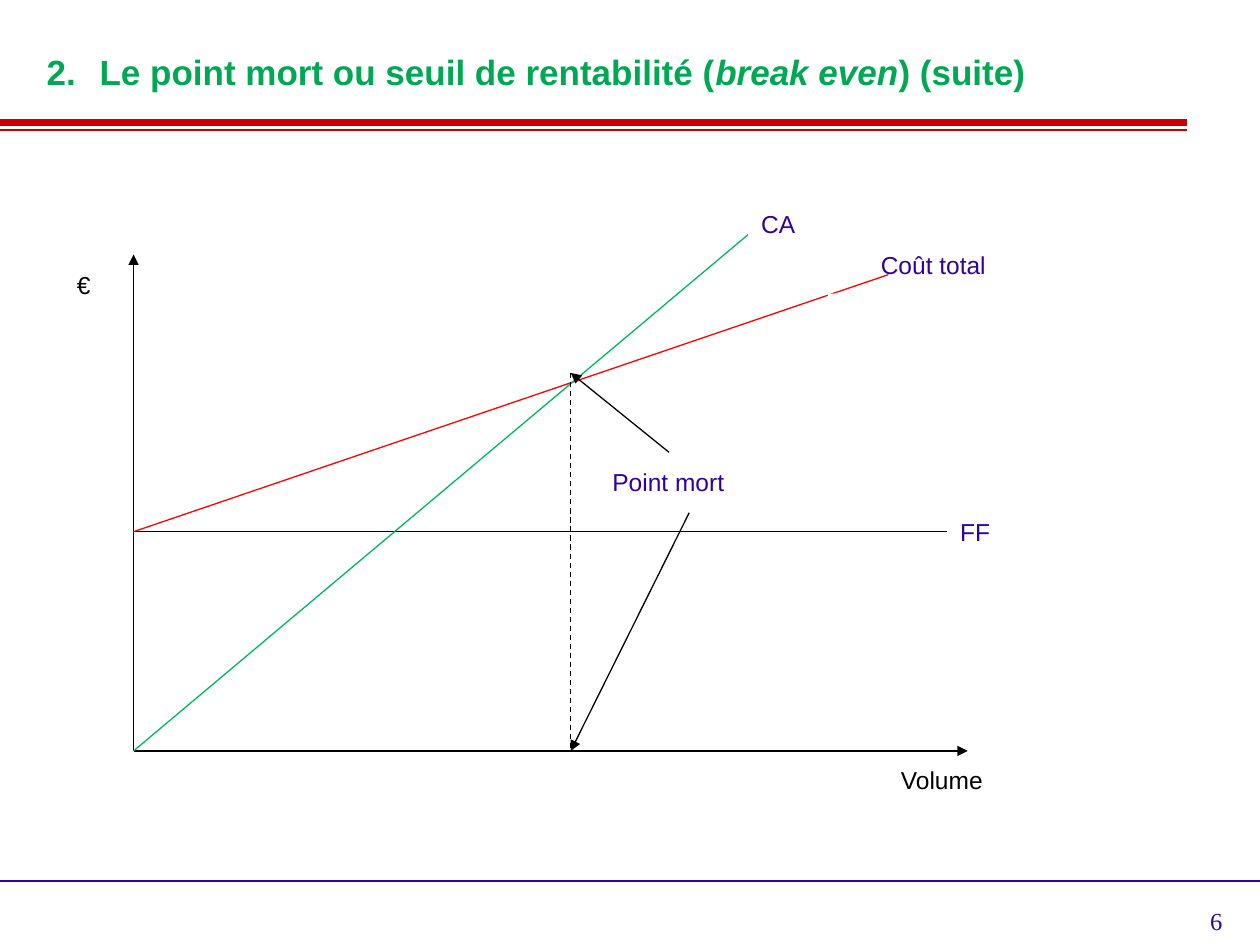
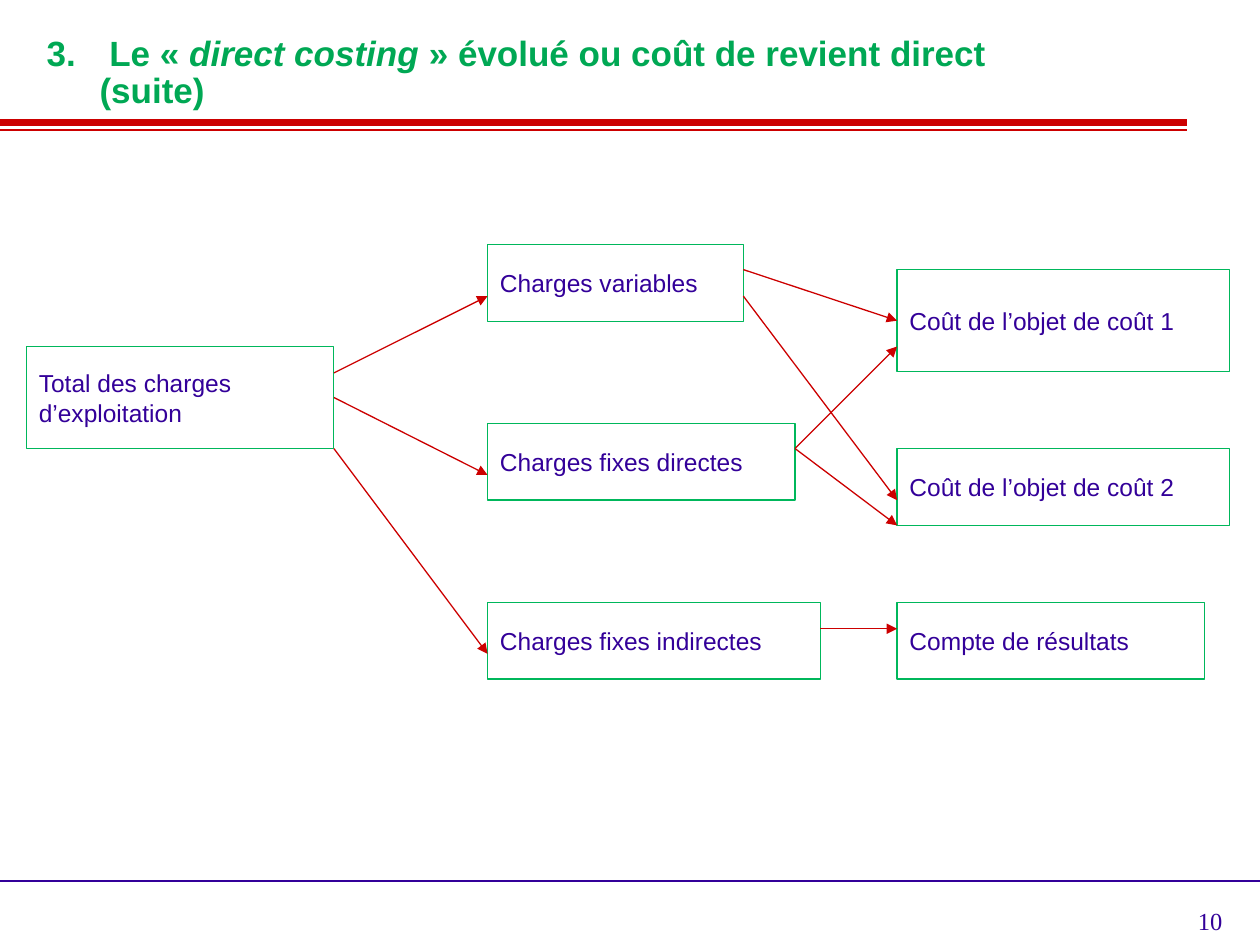
from dataclasses import dataclass

from lxml import etree
from pptx import Presentation
from pptx import util as u
from pptx.dml.color import RGBColor
from pptx.enum import dml, shapes, text
from pptx.oxml import ns

Inches = u.Inches


@dataclass(frozen=True)
class Theme:
    green_title: str = "00A854"
    green: str = "00B75B"
    red_band: str = "CC0000"
    red: str = "FF0000"
    violet: str = "330099"
    black: str = "000000"
    white: str = "FFFFFF"
    font: str = "Arial"
    number_font: str = "Times New Roman"
    title_size: float = 20
    text_size: float = 14
    thin: float = 0.75
    rule: float = 1
    band: float = 4


def add_xml(parent, tag, **attributes):
    return etree.SubElement(parent, ns.qn(tag), **attributes)


class Deck:
    """Holds the theme, the presentation and the slide being filled."""

    def __init__(self, theme):
        self.theme = theme
        self.presentation = Presentation()
        self.presentation.slide_width = Inches(10)
        self.presentation.slide_height = Inches(7.5)
        self.slide = None

    def new_slide(self, number, title_parts):
        """Start a slide; title_parts alternates upright and italic text."""
        theme = self.theme
        layout = self.presentation.slide_layouts.get_by_name("Title Only")
        self.slide = self.presentation.slides.add_slide(layout)
        self.line((0, 1.03), (9.42, 1.03), theme.red_band, theme.rule)
        self.line((0, 0.97), (9.42, 0.97), theme.red_band, theme.band)
        self.line((0, 6.99), (10, 6.99), theme.violet, theme.rule)
        self.label(str(number), (7.47, 7.14, 2.33, 0.36), font=theme.number_font,
                   align=text.PP_ALIGN.RIGHT, margins=(0.1, 0.05, 0.1, 0.05))
        self.title(title_parts)

    def title(self, parts):
        title = self.slide.shapes.title
        title.left, title.top = Inches(0.27), Inches(-0.08)
        title.width, title.height = Inches(8.5), Inches(1.33)
        self.frame(title, (0.1, 0.05, 0.1, 0.05), text.MSO_ANCHOR.MIDDLE)
        paragraph = title.text_frame.paragraphs[0]
        properties = paragraph._p.get_or_add_pPr()
        properties.set("marL", str(Inches(0.42)))
        properties.set("indent", str(Inches(-0.42)))
        tabs = add_xml(properties, "a:tabLst")
        for inch in range(8):
            add_xml(tabs, "a:tab", pos=str(Inches(inch)), algn="l")
        paragraph.alignment = text.PP_ALIGN.LEFT
        paragraph.line_spacing = 0.9
        for index, part in enumerate(parts):
            run = paragraph.add_run()
            run.text = part
            self.format_font(run.font, self.theme.green_title, self.theme.title_size)
            run.font.bold = True
            run.font.italic = index % 2 == 1

    def format_font(self, font, color, size, name=None):
        font.name = name or self.theme.font
        font.size = u.Pt(size)
        font.color.rgb = RGBColor.from_string(color)

    def frame(self, shape, margins, anchor):
        frame = shape.text_frame
        frame.word_wrap = True
        frame.auto_size = text.MSO_AUTO_SIZE.NONE
        frame.vertical_anchor = anchor
        (frame.margin_left, frame.margin_top,
         frame.margin_right, frame.margin_bottom) = map(Inches, margins)

    def set_words(self, shape, words, color, font=None, align=text.PP_ALIGN.LEFT):
        paragraph = shape.text_frame.paragraphs[0]
        paragraph.text = words
        paragraph.alignment = align
        self.format_font(paragraph.runs[0].font, color, self.theme.text_size, font)

    def label(self, words, place, color=None, font=None, align=text.PP_ALIGN.LEFT,
              margins=(0.02, 0.04, 0.02, 0.05)):
        shape = self.slide.shapes.add_textbox(*map(Inches, place))
        self.frame(shape, margins, text.MSO_ANCHOR.TOP)
        self.set_words(shape, words, color or self.theme.violet, font, align)

    def rectangle(self, place, outline=None):
        shape = self.slide.shapes.add_shape(
            shapes.MSO_SHAPE.RECTANGLE, *map(Inches, place))
        shape.shadow.inherit = False
        shape.fill.solid()
        shape.fill.fore_color.rgb = RGBColor.from_string(self.theme.white)
        if outline:
            shape.line.color.rgb = RGBColor.from_string(outline)
            shape.line.width = u.Pt(self.theme.thin)
        else:
            shape.line.fill.background()
        return shape

    def box(self, words, place):
        shape = self.rectangle(place, self.theme.green)
        self.frame(shape, (0.1, 0.05, 0.1, 0.05), text.MSO_ANCHOR.MIDDLE)
        self.set_words(shape, words, self.theme.violet)
        return shape

    def line(self, start, end, color, width=None, arrow=False, dashed=False):
        connector = self.slide.shapes.add_connector(
            shapes.MSO_CONNECTOR.STRAIGHT, *map(Inches, (*start, *end)))
        connector.line.color.rgb = RGBColor.from_string(color)
        connector.line.width = u.Pt(width or self.theme.thin)
        if dashed:
            connector.line.dash_style = dml.MSO_LINE.DASH
        if arrow:
            add_xml(connector.line._get_or_add_ln(), "a:tailEnd", type="triangle")
        add_xml(connector._element.spPr, "a:effectLst")
        return connector


def break_even_slide(deck):
    theme = deck.theme
    deck.new_slide(6, ["2. \tLe point mort ou seuil de rentabilité (",
                       "break even", ") (suite)"])
    origin = (1.06, 5.96)
    fixed_cost = (1.06, 4.22)
    break_even, break_even_volume = (4.53, 2.96), (4.53, 5.96)

    deck.line(origin, (1.06, 2.02), theme.black, arrow=True)
    deck.line(origin, (7.68, 5.96), theme.black, arrow=True)
    deck.line(fixed_cost, (7.52, 4.22), theme.black)
    deck.line(fixed_cost, (7.05, 2.18), theme.red)
    deck.line(origin, (5.94, 1.86), theme.green)
    deck.line(break_even, break_even_volume, theme.black, dashed=True)

    for background in [(0.59, 2.33, 0.31, 0.47), (6.57, 2.33, 1.1, 0.47),
                       (5.31, 3.44, 0.94, 0.63)]:
        deck.rectangle(background)
    deck.rectangle((5.94, 1.7, 0.94, 0.47), theme.white)
    deck.line((5.47, 4.07), break_even_volume, theme.black, arrow=True)
    deck.line((5.31, 3.59), break_even, theme.black, arrow=True)

    for words, left, top, width, color in [
        ("Point mort", 4.84, 3.67, 1.5, theme.violet),
        ("Coût total", 6.97, 1.94, 0.95, theme.violet),
        ("CA", 6.02, 1.62, 0.35, theme.violet),
        ("Volume", 7.13, 6.03, 0.95, theme.black),
        ("€", 0.59, 2.1, 0.32, theme.black),
        ("FF", 7.6, 4.06, 0.35, theme.violet),
    ]:
        deck.label(words, (left, top, width, 0.32), color)


def direct_costing_slide(deck):
    deck.new_slide(10, ["3. \t Le « ", "direct costing",
                        " » évolué ou coût de revient direct (suite)"])
    source_left, charge_left, result_left = 0.21, 3.87, 7.12
    low, high = 0.61, 0.81
    boxes = {name: deck.box(words, place) for name, words, place in [
        ("total", "Total des charges d’exploitation", (source_left, 2.75, 2.44, high)),
        ("variable", "Charges variables", (charge_left, 1.94, 2.03, low)),
        ("direct", "Charges fixes directes", (charge_left, 3.36, 2.44, low)),
        ("indirect", "Charges fixes indirectes", (charge_left, 4.78, 2.64, low)),
        ("cost 1", "Coût de l’objet de coût 1", (result_left, 2.14, 2.64, high)),
        ("cost 2", "Coût de l’objet de coût 2", (result_left, 3.56, 2.64, low)),
        ("results", "Compte de résultats", (result_left, 4.78, 2.44, low)),
    ]}
    middle = None  # joins the arrow to the middle of the side
    for start_name, start_y, end_name, end_y in [
        ("total", 2.96, "variable", 2.35),
        ("total", middle, "direct", 3.77),
        ("total", 3.56, "indirect", 5.19),
        ("variable", 2.14, "cost 1", middle),
        ("variable", 2.35, "cost 2", 3.97),
        ("direct", 3.56, "cost 1", 2.75),
        ("direct", 3.56, "cost 2", 4.17),
        ("indirect", 4.99, "results", 4.99),
    ]:
        start, end = boxes[start_name], boxes[end_name]
        arrow = deck.line(((start.left + start.width) / Inches(1), start_y or 0),
                          (end.left / Inches(1), end_y or 0),
                          deck.theme.red_band, arrow=True)
        if start_y is middle:
            arrow.begin_connect(start, 3)
        if end_y is middle:
            arrow.end_connect(end, 1)


def main():
    deck = Deck(Theme())
    break_even_slide(deck)
    direct_costing_slide(deck)
    deck.presentation.save("out.pptx")


if __name__ == "__main__":
    main()
